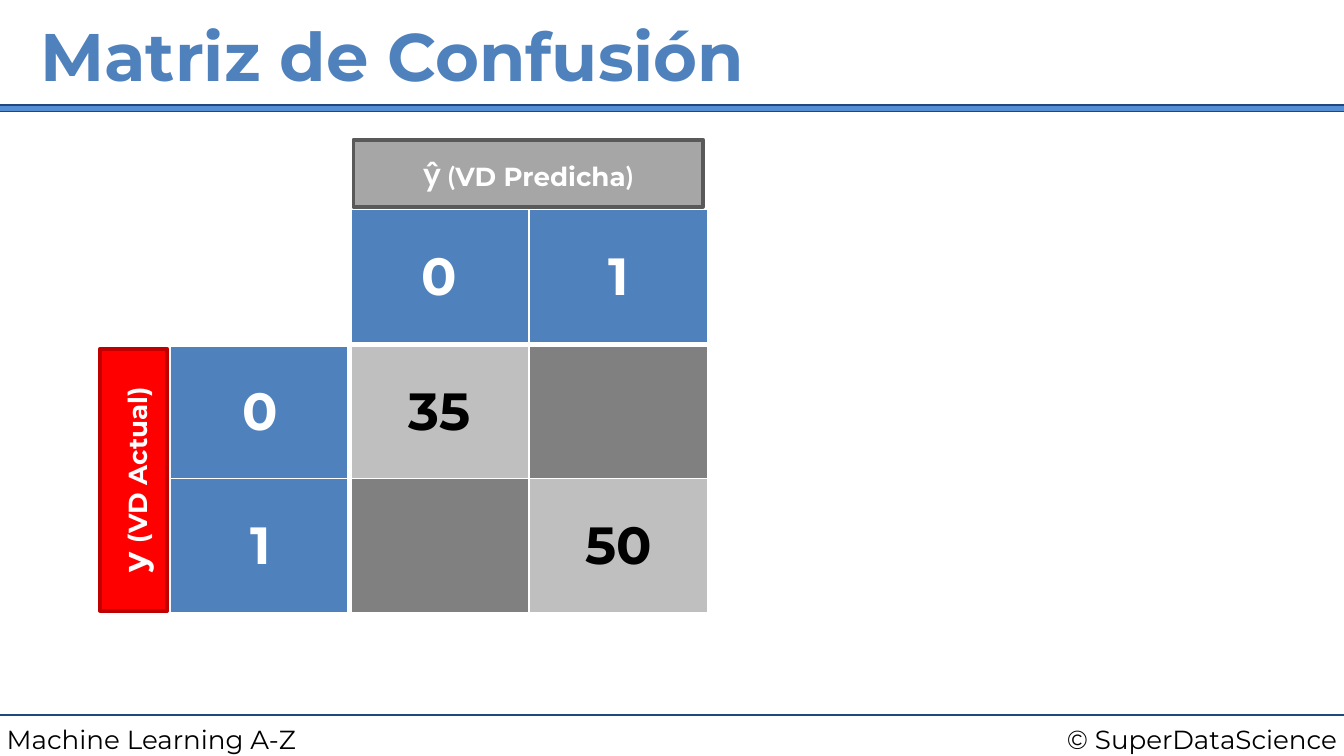
from lxml import etree
from pptx import Presentation
from pptx.dml.color import RGBColor
from pptx.enum.shapes import MSO_CONNECTOR, MSO_SHAPE
from pptx.enum.text import MSO_ANCHOR as ANCHOR, PP_ALIGN as ALIGN
from pptx.oxml.ns import qn
from pptx.util import Inches, Pt

COLORS = {
    "navy": "1F497D", "bar": "558ED5", "blue": "4F81BD",
    "white": "FFFFFF", "black": "000000",
    "red": "FF0000", "dark_red": "C00000",
    "hit": "BFBFBF", "miss": "808080",
    "gray": "A6A6A6", "dark_gray": "595959",
}


def rgb(name):
    return RGBColor.from_string(COLORS[name])


class SlideBuilder:
    font = "Montserrat"
    inset = Inches(0.05)

    def __init__(self, slide):
        self.s = slide

    def format_run(self, r, size, color, bold=False, font=None):
        r.font.name = font or self.font
        r.font.size = Pt(size)
        r.font.bold = bold
        r.font.color.rgb = rgb(color)

    def text(self, box, runs, color, align=ALIGN.LEFT, anchor=ANCHOR.TOP,
             bold=False, rotation=0):
        sp = self.s.shapes.add_textbox(*map(Inches, box))
        sp.rotation = rotation
        tf = sp.text_frame
        tf.word_wrap = True
        tf.vertical_anchor = anchor
        tf.margin_left = tf.margin_right = self.inset
        tf.margin_top = tf.margin_bottom = self.inset
        p = tf.paragraphs[0]
        p.alignment = align
        for content, size, font in runs:
            r = p.add_run()
            r.text = content
            self.format_run(r, size, color, bold, font)

    def rect(self, box, fill, line, width, rotation=0):
        sp = self.s.shapes.add_shape(MSO_SHAPE.RECTANGLE, *map(Inches, box))
        sp.shadow.inherit = False
        sp.rotation = rotation
        sp.fill.solid()
        sp.fill.fore_color.rgb = rgb(fill)
        sp.line.color.rgb = rgb(line)
        sp.line.width = Pt(width)

    def line(self, x1, y1, x2, y2, color, width):
        cx = self.s.shapes.add_connector(
            MSO_CONNECTOR.STRAIGHT, *map(Inches, (x1, y1, x2, y2)))
        cx.line.color.rgb = rgb(color)
        cx.line.width = Pt(width)
        etree.SubElement(cx._element.spPr, qn("a:effectLst"))

    def axis_label(self, box, fill, line, runs, rotation=0):
        x, y, w, h = box
        text_h = 0.41
        text_y = y + (h - text_h) / 2
        self.rect(box, fill, line, 2, rotation)
        self.text((x, text_y, w, text_h), runs, "white", ALIGN.CENTER,
                  ANCHOR.MIDDLE, True, rotation)

    def borders(self, cell, widths):
        tc_pr = cell._tc.get_or_add_tcPr()
        for side, width in widths.items():
            ln = etree.SubElement(tc_pr, qn(f"a:ln{side}"), w=str(Pt(width)))
            fill = etree.SubElement(ln, qn("a:solidFill"))
            etree.SubElement(fill, qn("a:srgbClr"), val=COLORS["white"])

    def matrix(self, box, rows, size):
        n = len(rows)
        table = self.s.shapes.add_table(n, n, *map(Inches, box)).table
        table.first_row = table.horz_banding = False
        for i, row in enumerate(rows):
            for j, (content, fill, color) in enumerate(row):
                cell = table.cell(i, j)
                self.borders(cell, {
                    "L": 3 if j == 1 else 1, "R": 3 if j == 0 else 1,
                    "T": 1, "B": 3 if i == 0 else 1})
                if fill:
                    cell.fill.solid()
                    cell.fill.fore_color.rgb = rgb(fill)
                else:
                    cell.fill.background()
                cell.vertical_anchor = ANCHOR.MIDDLE
                cell.margin_left = cell.margin_right = self.inset
                cell.margin_top = cell.margin_bottom = self.inset
                if content:
                    cell.text_frame.text = content
                    p = cell.text_frame.paragraphs[0]
                    p.alignment = ALIGN.CENTER
                    self.format_run(p.runs[0], size, color, True)


def main():
    prs = Presentation()
    prs.slide_width = Inches(10)
    prs.slide_height = prs.slide_width * 9 // 16
    b = SlideBuilder(prs.slides.add_slide(prs.slide_layouts[6]))

    b.line(0, 5.32, 10, 5.32, "navy", 1.5)
    b.text((7.08, 5.33, 2.92, 0.34), [("© SuperDataScience", 14, None)],
           "black", ALIGN.RIGHT)
    b.text((0, 5.33, 3.25, 0.34), [("Machine Learning A-Z", 14, None)], "black")
    b.rect((-0.04, 0.78, 10.08, 0.05), "bar", "navy", 0.75)
    b.text((0.25, 0, 9.5, 0.81), [("Matriz de Confusión", 36, None)], "blue",
           anchor=ANCHOR.MIDDLE, bold=True)

    zero, one = [(digit, "blue", "white") for digit in "01"]
    corner, miss = ("", None, None), ("", "miss", None)
    b.matrix((1.27, 1.56, 4, 3), [
        [corner, zero, one],
        [zero, ("35", "hit", "black"), miss],
        [one, miss, ("50", "hit", "black")],
    ], 28)

    b.axis_label((0.02, 3.32, 1.95, 0.5), "red", "dark_red",
                 [("y ", 18, None), ("(VD Actual)", 14, None)], 270)
    b.axis_label((2.63, 1.04, 2.6, 0.5), "gray", "dark_gray",
                 [("ŷ ", 18, "Lato"), ("(", 14, "Lato"),
                  ("VD Predicha", 14, None), (")", 14, "Lato")])

    prs.save("out.pptx")


if __name__ == "__main__":
    main()
